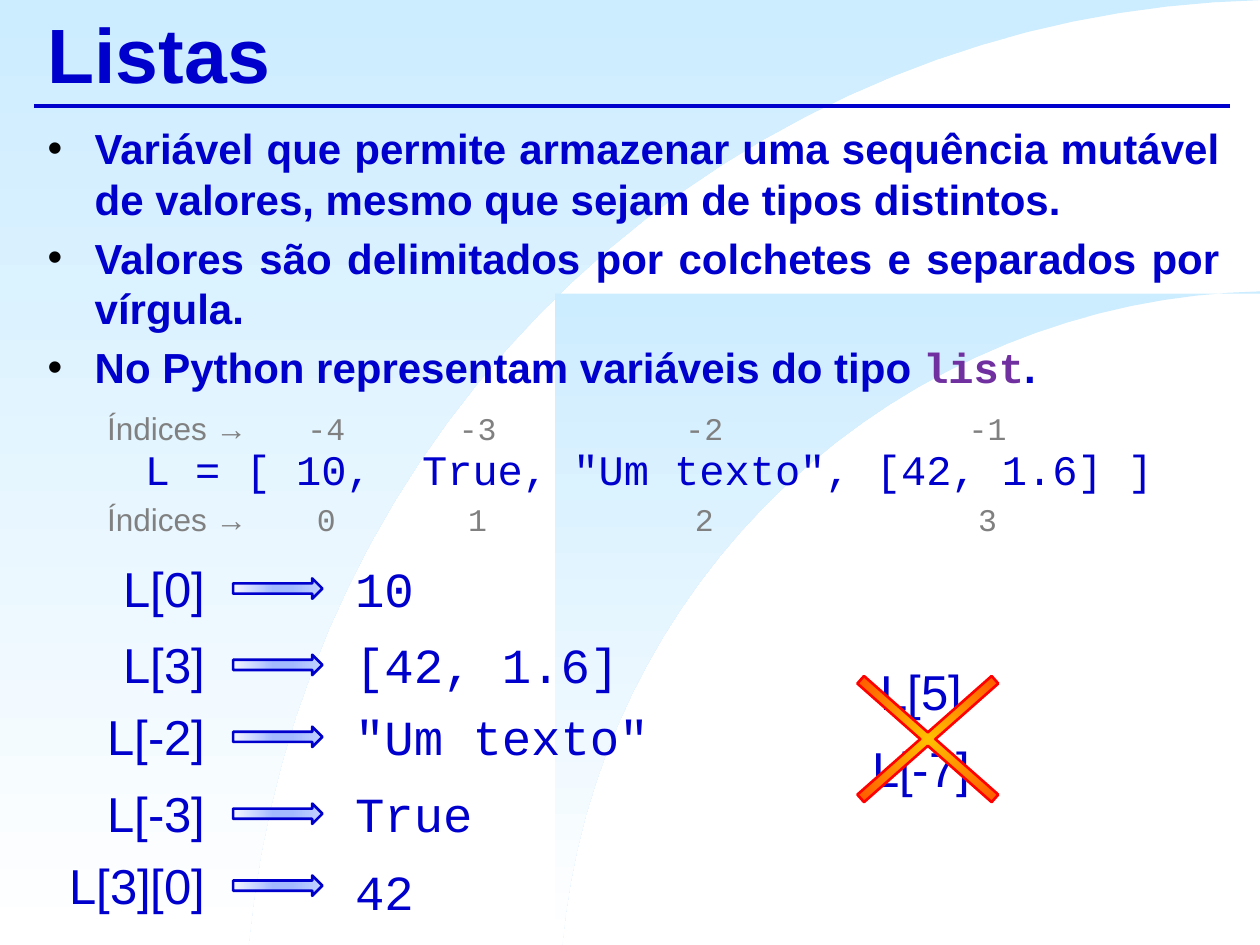
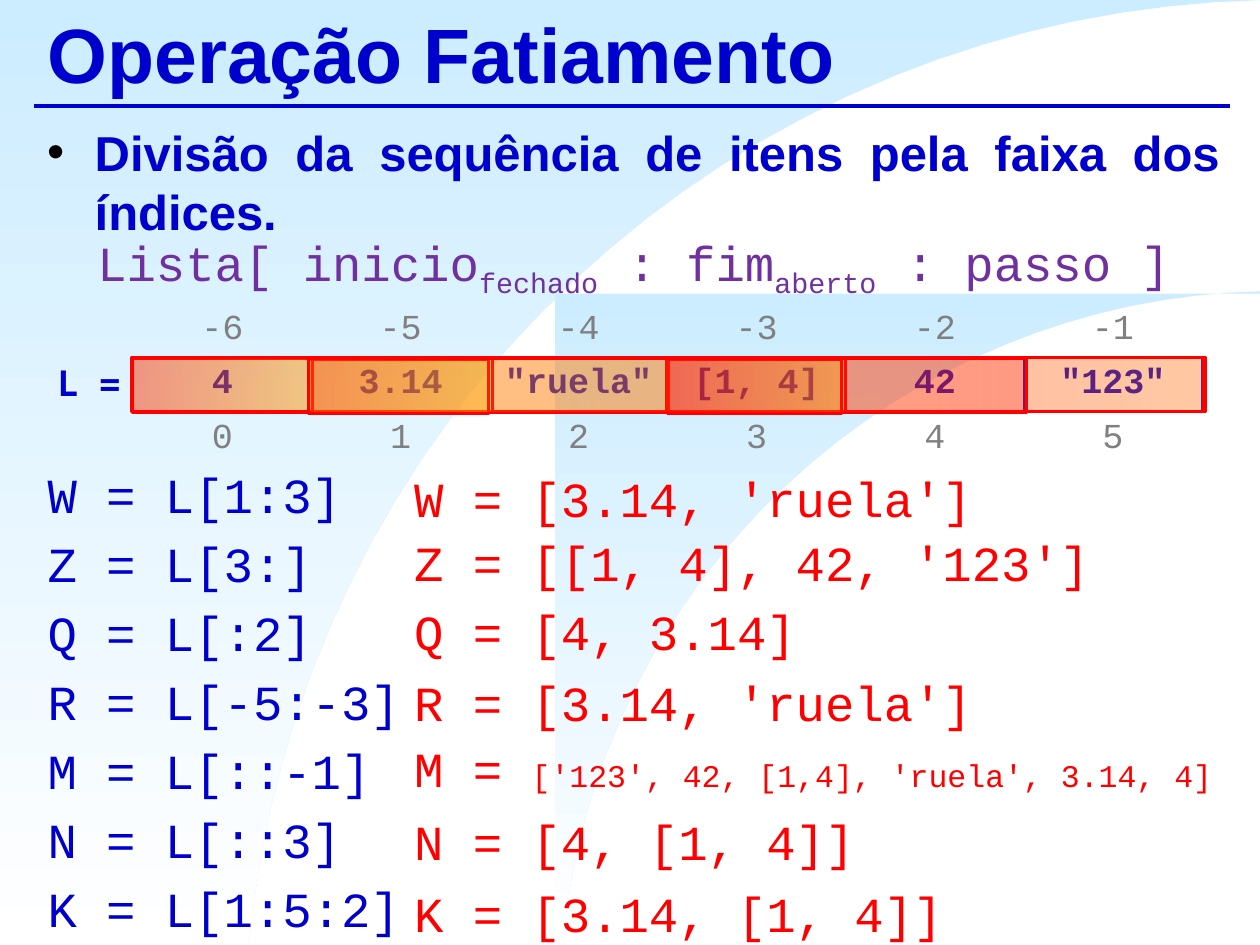
from dataclasses import dataclass
from math import cos, radians, sin

from lxml.etree import SubElement
from pptx import Presentation
from pptx.dml.color import RGBColor
from pptx.enum.shapes import MSO_CONNECTOR as Connector, MSO_SHAPE as Preset
from pptx.enum.text import MSO_ANCHOR as Anchor, PP_ALIGN as Align
from pptx.oxml.ns import qn
from pptx.util import Cm, Pt


@dataclass(frozen=True)
class Theme:
    """Colours, fonts and type sizes of the deck."""
    blue: str = "0000CC"
    purple: str = "7030A0"
    gray: str = "808080"
    red: str = "FF0000"
    black: str = "000000"
    sky: tuple = ((0, "CCECFF"), (100, "FFFFFF"))
    arrow: tuple = ((0, "F5F7FF"), (45, "A3BAFF"), (66, "A3BAFF"), (100, "C2D1FF"))
    cross: tuple = ((0, "FFC000"), (100, "FF0000"))
    slice: tuple = ((0, "FF0000", 20), (100, "FFC000", 20))
    sans: str = "Arial"
    mono: str = "Courier New"
    label: str = "DejaVu Sans Mono"
    title: int = 44
    large: int = 28
    medium: int = 24
    cell: int = 20
    small: int = 18


THEME = Theme()
WIDTH, HEIGHT = 25.4, 19.05
NO_STYLE = "{2D5ABB26-0587-4C30-8999-92F81FD0307C}"


def add_run(paragraph, text, size, font=THEME.sans, color=THEME.blue, bold=False, base=0):
    """Append one styled run."""
    run = paragraph.add_run()
    run.text = text
    run.font.size, run.font.name, run.font.bold = Pt(size), font, bold
    run.font.color.rgb = RGBColor.from_string(color)
    if base:
        run.font._element.set("baseline", str(base * 1000))


def add_text(slide, left, top, width, height, anchor=Anchor.TOP):
    """Add a wrapping text box and return its frame."""
    frame = slide.shapes.add_textbox(Cm(left), Cm(top), Cm(width), Cm(height)).text_frame
    frame.word_wrap = True
    frame.vertical_anchor = anchor
    return frame


def add_line(slide, left, top, width, text, size, align=Align.LEFT, **style):
    """Add a one-line text box."""
    paragraph = add_text(slide, left, top, width, 1.45).paragraphs[0]
    paragraph.alignment = align
    add_run(paragraph, text, size, **style)
    return paragraph


def set_tabs(paragraph, stops, align):
    """Give a paragraph tab stops in centimetres."""
    tabs = SubElement(paragraph._p.get_or_add_pPr(), qn("a:tabLst"))
    for stop in stops:
        SubElement(tabs, qn("a:tab"), pos=str(Cm(stop)), algn=align)


def next_paragraph(frame, size, before, align=Align.JUSTIFY):
    """Start a body paragraph with the shared line spacing."""
    first = frame.paragraphs[0]
    paragraph = frame.add_paragraph() if first.runs else first
    paragraph.alignment = align
    paragraph.line_spacing = Pt(round(size * 1.206, 1))
    paragraph.space_before = Pt(before)
    return paragraph


def add_bullet(frame, text, size):
    """Add a bold bulleted paragraph."""
    paragraph = next_paragraph(frame, size, size / 5)
    props = paragraph._p.get_or_add_pPr()
    props.set("marL", str(Cm(0.95)))
    props.set("indent", str(Cm(-0.95)))
    SubElement(SubElement(props, qn("a:buClr")), qn("a:srgbClr"), val=THEME.black)
    SubElement(props, qn("a:buFont"), typeface=THEME.sans)
    SubElement(props, qn("a:buChar"), char="•")
    add_run(paragraph, text, size, bold=True)
    return paragraph


def paint(shape, stops, angle=None, outline=None):
    """Apply a linear or circular gradient and an outline."""
    shape.shadow.inherit = False
    props = shape._element.spPr
    shape.fill.background()
    gradient = props.makeelement(qn("a:gradFill"), {"rotWithShape": "1"})
    stop_list = SubElement(gradient, qn("a:gsLst"))
    for position, color, *opacity in stops:
        stop = SubElement(stop_list, qn("a:gs"), pos=str(position * 1000))
        tint = SubElement(stop, qn("a:srgbClr"), val=color)
        for percent in opacity:
            SubElement(tint, qn("a:alpha"), val=str(percent * 1000))
    if angle is None:
        circle = SubElement(gradient, qn("a:path"), path="circle")
        SubElement(circle, qn("a:fillToRect"), l="50000", t="50000", r="50000", b="50000")
    else:
        SubElement(gradient, qn("a:lin"), ang=str(angle * 60000), scaled="0")
    props.replace(props.find(qn("a:noFill")), gradient)
    if outline:
        shape.line.color.rgb = RGBColor.from_string(outline)
        shape.line.width = Pt(1.5)
    else:
        shape.line.fill.background()


def add_preset(slide, preset, left, top, width, height, stops, angle, outline):
    """Add a gradient preset shape."""
    shape = slide.shapes.add_shape(preset, Cm(left), Cm(top), Cm(width), Cm(height))
    paint(shape, stops, angle, outline)
    return shape


def add_swoosh(slide, center_x, center_y, radius, left, top):
    """Add a sky panel cut by a quarter circle."""
    arc = []
    for step in range(33):
        angle = radians(5 + step * 83.8 / 32)
        arc.append((Cm(min(center_x - radius * cos(angle), WIDTH)),
                    Cm(min(center_y - radius * sin(angle), HEIGHT))))
    corners = [(Cm(WIDTH), Cm(top)), (Cm(left), Cm(top)), (Cm(left), Cm(HEIGHT))]
    builder = slide.shapes.build_freeform(*arc[0])
    builder.add_line_segments(arc[1:] + corners, close=True)
    paint(builder.convert_to_shape(), THEME.sky, 90)


def new_slide(deck, title):
    """Add a slide with the shared background, rule and title."""
    slide = deck.slides.add_slide(deck.slide_layouts[6])
    add_swoosh(slide, 25.88, 20.95, 20.95, 0, 0)
    add_swoosh(slide, 25.73, 20.32, 14.45, 11.18, 5.92)
    rule = slide.shapes.add_connector(Connector.STRAIGHT, Cm(0.69), Cm(2.13), Cm(24.79), Cm(2.13))
    rule.line.color.rgb = RGBColor.from_string(THEME.blue)
    rule.line.width = Pt(2.25)
    SubElement(rule._element.spPr, qn("a:effectLst"))
    heading = add_text(slide, 0.71, 0, 24.13, 2.11, Anchor.MIDDLE).paragraphs[0]
    add_run(heading, title, THEME.title, bold=True)
    return slide


def add_body(slide):
    """Add the frame of the main text."""
    return add_text(slide, 0.71, 2.34, 24.13, 16.2)


def add_indices(slide, top, indices):
    """Add a row of list indices centred under their items."""
    row = add_line(slide, 1.91, top, 22, "Índices →", THEME.small, color=THEME.gray)
    set_tabs(row, (4.42, 7.47, 12.04, 17.75), "ctr")
    for index in indices:
        add_run(row, f"\t{index}", THEME.small, THEME.mono, THEME.gray)


def add_borders(cell, sides):
    """Draw thin blue borders on the given sides of a cell."""
    props = cell._tc.get_or_add_tcPr()
    for place, side in enumerate(sides):
        border = props.makeelement(qn(f"a:ln{side}"), {"w": str(Pt(1))})
        fill = SubElement(border, qn("a:solidFill"))
        SubElement(fill, qn("a:srgbClr"), val=THEME.blue)
        props.insert(place, border)


def add_item_row(slide, top, items, label="", color=THEME.gray, bold=False, bordered=False):
    """Add a one-row table: a label column and six equal item columns."""
    table = slide.shapes.add_table(1, 7, Cm(0.89), Cm(top), Cm(23.32), Cm(1.09)).table
    table.first_row = table.horz_banding = False
    table._tbl.tblPr.find(qn("a:tableStyleId")).text = NO_STYLE
    for column, text in enumerate((label, *items)):
        table.columns[column].width = Cm(3.59 if column else 1.8)
        cell = table.cell(0, column)
        cell.fill.background()
        if bordered:
            add_borders(cell, "LRTB" if column else "R")
        if text:
            paragraph = cell.text_frame.paragraphs[0]
            paragraph.alignment = Align.CENTER
            add_run(paragraph, text, THEME.cell, THEME.mono if column else THEME.label, color, bold)


def build_lists(deck):
    """Build the slide about lists and indexing."""
    slide = new_slide(deck, "Listas")
    body = add_body(slide)
    add_bullet(body, "Variável que permite armazenar uma sequência mutável de valores, "
                     "mesmo que sejam de tipos distintos.", THEME.medium)
    add_bullet(body, "Valores são delimitados por colchetes e separados por vírgula.", THEME.medium)
    type_note = add_bullet(body, "No Python representam variáveis do tipo ", THEME.medium)
    add_run(type_note, "list", THEME.medium, THEME.mono, THEME.purple, True)
    add_run(type_note, ".", THEME.medium, bold=True)

    lookups = (
        ("L[0]", "10", 11.13), ("L[3]", "[42, 1.6]", 12.67), ("L[-2]", '"Um texto"', 14.12),
        ("L[-3]", "True", 15.67), ("L[3][0]", "42", 17.12),
    )
    for expression, value, top in lookups:
        add_line(slide, 0.99, top, 3.4, expression, THEME.large, Align.RIGHT)
        add_preset(slide, Preset.RIGHT_ARROW, 4.7, top + 0.53, 1.8, 0.41,
                   THEME.arrow, 0, THEME.blue)
        add_line(slide, 6.91, top + (0.13 if value == "42" else 0), 7.1, value,
                 THEME.large, font=THEME.mono)

    for invalid, top in (("L[5]", 13.21), ("L[-7]", 14.76)):
        add_line(slide, 16.87, top, 3.4, invalid, THEME.large, Align.CENTER)
    cross = add_preset(slide, Preset.MATH_MULTIPLY, 16.1, 12.6, 5.21, 4.6,
                       THEME.cross, None, THEME.red)
    cross.adjustments[0] = 0.044

    add_indices(slide, 9.96, range(4))
    code = add_line(slide, 2.67, 8.81, 21.5, "L = [ 10,\tTrue, \"Um texto\", [42, 1.6] ]",
                    THEME.medium, font=THEME.mono)
    set_tabs(code, (5.59,), "l")
    add_indices(slide, 8.13, range(-4, 0))


def build_slicing(deck):
    """Build the slide about slicing."""
    slide = new_slide(deck, "Operação Fatiamento")
    body = add_body(slide)
    add_bullet(body, "Divisão da sequência de itens pela faixa dos índices.", THEME.large)
    syntax = next_paragraph(body, THEME.large, 0, Align.CENTER)
    for text, base in (("Lista[ inicio", 0), ("fechado", -25), (" : fim", 0),
                       ("aberto", -25), (" : passo ]", 0)):
        add_run(syntax, text, THEME.large, THEME.mono, THEME.purple, base=base)

    slices = ("W = L[1:3]", "Z = L[3:]", "Q = L[:2]", "R = L[-5:-3]",
              "M = L[::-1]", "N = L[::3]", "K = L[1:5:2]")
    for order, statement in enumerate(slices):
        paragraph = next_paragraph(body, THEME.large, 5.6 if order else 94)
        add_run(paragraph, statement, THEME.large, THEME.mono)

    add_item_row(slide, 7.21, ("4", "3.14", '"ruela"', "[1, 4]", "42", '"123"'),
                 "L =", THEME.blue, True, True)
    add_item_row(slide, 6.12, [str(index) for index in range(-6, 0)])
    add_item_row(slide, 8.33, [str(index) for index in range(6)])

    results = (
        ("W", "[3.14, 'ruela']", 9.32), ("Z", "[[1, 4], 42, '123']", 10.62),
        ("Q", "[4, 3.14]", 12.01), ("R", "[3.14, 'ruela']", 13.44),
        ("M", "['123', 42, [1,4], 'ruela', 3.14, 4]", 14.76),
        ("N", "[4, [1, 4]]", 16.23), ("K", "[3.14, [1, 4]]", 17.68),
    )
    for variable, value, top in results:
        line = add_line(slide, 8.1, top, 17.3, f"{variable} = ", THEME.large,
                        font=THEME.mono, color=THEME.red)
        add_run(line, value, THEME.small if variable == "M" else THEME.large,
                THEME.mono, THEME.red)

    highlights = (
        (6.22, 7.21, 7.26, 0), (2.64, 7.21, 21.67, 180), (2.67, 7.24, 7.26, 0),
        (13.46, 7.21, 10.8, 0), (2.67, 7.21, 3.63, 0), (13.44, 7.21, 3.61, 0),
        (6.22, 7.26, 3.63, 0), (13.46, 7.26, 3.51, 0), (6.22, 7.24, 14.48, 180),
    )
    for left, top, width, angle in highlights:
        add_preset(slide, Preset.RECTANGLE, left, top, width, 1.09, THEME.slice, angle, THEME.red)


def main():
    """Build and save the deck."""
    deck = Presentation()
    deck.slide_width, deck.slide_height = Cm(WIDTH), Cm(HEIGHT)
    build_lists(deck)
    build_slicing(deck)
    deck.save("out.pptx")


main()
